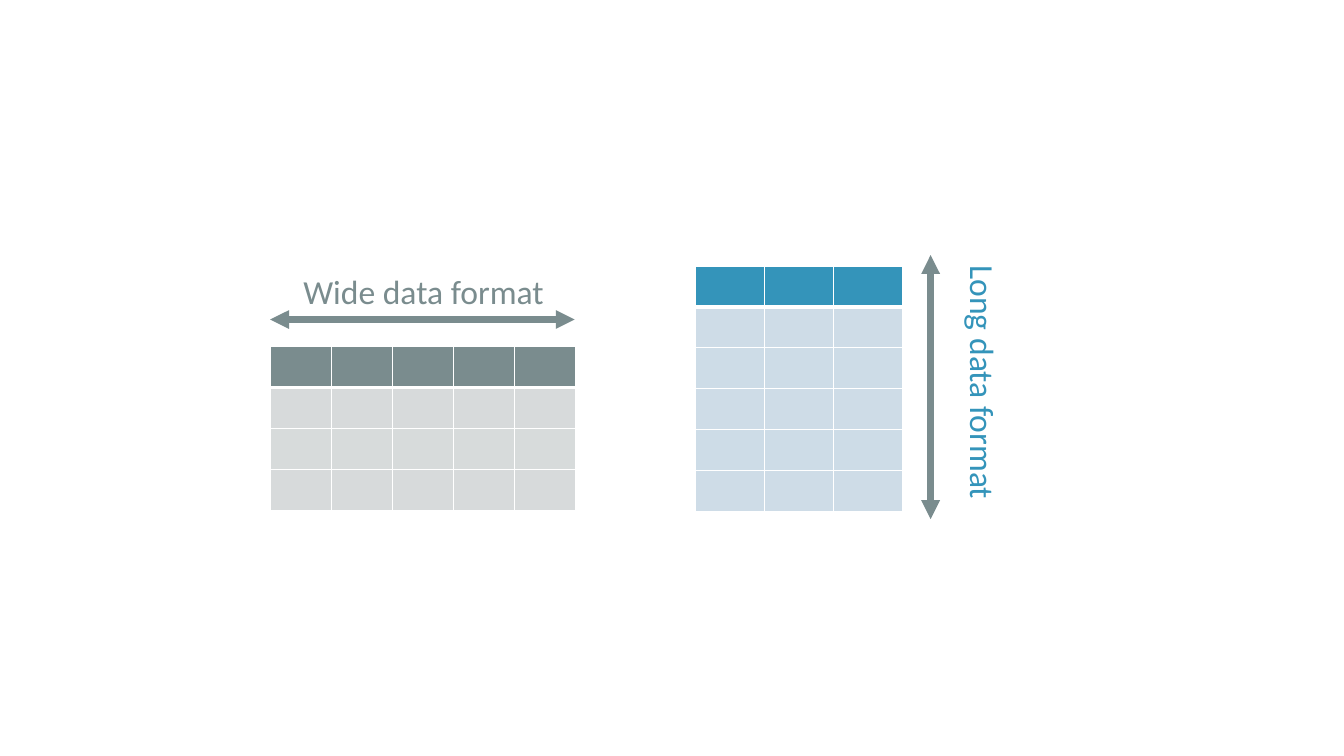
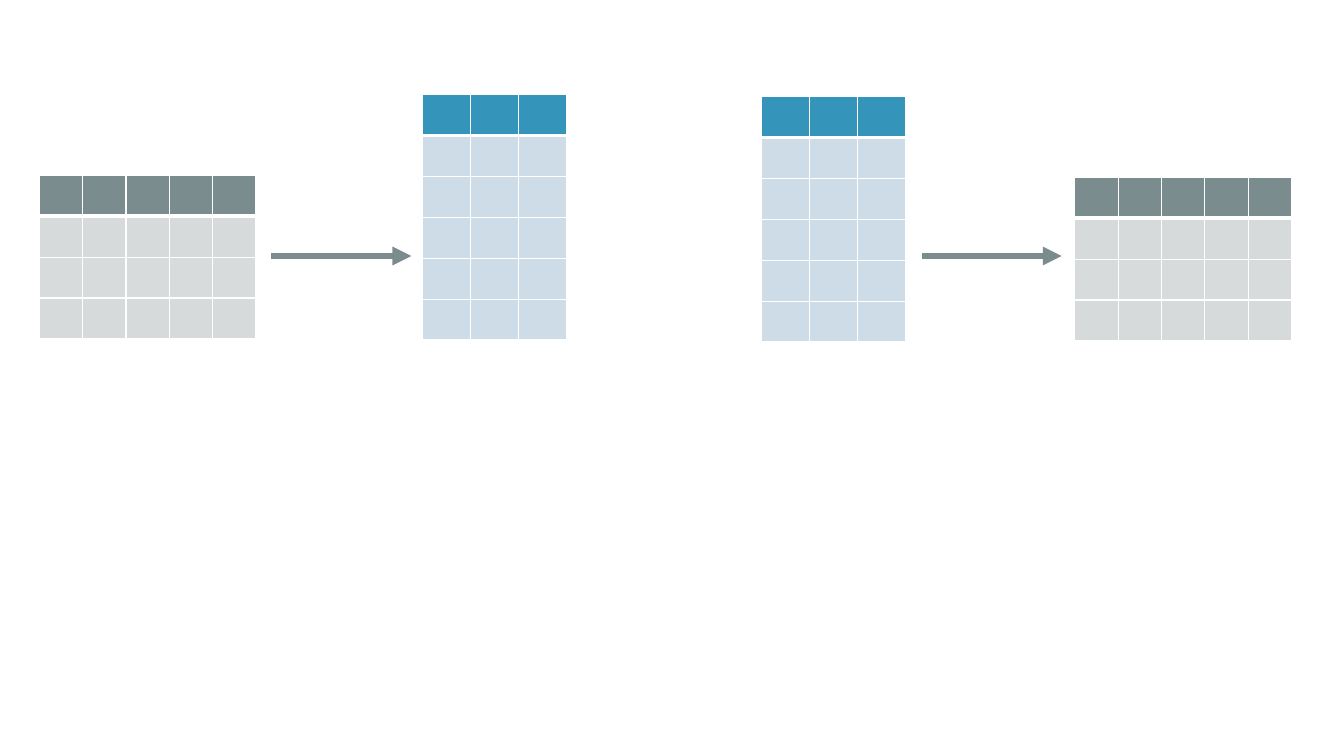
from dataclasses import dataclass

from lxml.etree import SubElement
from pptx import Presentation
from pptx.dml.color import RGBColor
from pptx.enum.shapes import MSO_CONNECTOR
from pptx.enum.text import MSO_AUTO_SIZE
from pptx.oxml.ns import qn
from pptx.util import Pt

PX = 9144  # EMU in one px, 100 px to the inch


@dataclass(frozen=True)
class Theme:
    gray: str = "7A8C8E"
    blue: str = "3494BA"
    white: str = "FFFFFF"
    gray_bands: tuple = ("D7DADB", "D7DBDB")
    blue_bands: tuple = ("CEDCE7", "CDDCE7")
    font: str = "Calibri"
    label: int = 24
    stroke: float = 4.5
    thin: int = 1
    thick: int = 3


THEME = Theme()
ROW = 40


def emu(*sizes):
    return [size * PX for size in sizes]


def rgb(code):
    return RGBColor.from_string(code)


# Tables
def edge(cell, side, width):
    line = SubElement(cell._tc.get_or_add_tcPr(), qn(f"a:ln{side}"), w=str(Pt(width)))
    fill = SubElement(line, qn("a:solidFill"))
    SubElement(fill, qn("a:srgbClr"), val=THEME.white)


def paint(cell, row, head, bands):
    thick_side = {0: "B", 1: "T"}.get(row)
    for side in "LRTB":
        edge(cell, side, THEME.thick if side == thick_side else THEME.thin)
    cell.fill.solid()
    cell.fill.fore_color.rgb = rgb(bands[(row - 1) % 2] if row else head)


def grid(slide, left, top, width, rows, cols, head, bands):
    frame = slide.shapes.add_table(rows, cols, *emu(left, top, width, rows * ROW))
    table = frame.table
    table.first_row = table.horz_banding = False
    for row in range(rows):
        for col in range(cols):
            paint(table.cell(row, col), row, head, bands)


def wide(slide, left, top, width):
    grid(slide, left, top, width, 4, 5, THEME.gray, THEME.gray_bands)


def long(slide, left, top, width):
    grid(slide, left, top, width, 6, 3, THEME.blue, THEME.blue_bands)


# Arrows and labels
def arrow(slide, x1, y1, x2, y2, both=False):
    link = slide.shapes.add_connector(MSO_CONNECTOR.STRAIGHT, *emu(x1, y1, x2, y2))
    link.line.color.rgb = rgb(THEME.gray)
    link.line.width = Pt(THEME.stroke)
    line = link.line._get_or_add_ln()
    for end in ("headEnd", "tailEnd") if both else ("tailEnd",):
        SubElement(line, qn(f"a:{end}"), type="triangle")
    SubElement(link._element.spPr, qn("a:effectLst"))


def label(slide, text, left, top, width, color, turn=0):
    box = slide.shapes.add_textbox(*emu(left, top, width, 50))
    box.rotation = turn
    frame = box.text_frame
    frame.word_wrap = True
    frame.auto_size = MSO_AUTO_SIZE.SHAPE_TO_FIT_TEXT
    run = frame.paragraphs[0].add_run()
    run.text = text
    run.font.name = THEME.font
    run.font.size = Pt(THEME.label)
    run.font.color.rgb = rgb(color)


# Slides
def formats(slide):
    wide(slide, 268, 344, 303)
    long(slide, 690, 264, 205)
    arrow(slide, 268, 317, 570, 317, both=True)
    arrow(slide, 923, 253, 923, 515, both=True)
    label(slide, "Wide data format", 291, 264, 271, THEME.gray)
    label(slide, "Long data format", 845, 359, 261, THEME.blue, turn=90)


def pivots(slide):
    # Wide to long
    wide(slide, 39, 174, 215)
    long(slide, 419, 94, 143)
    # Long to wide
    long(slide, 755, 96, 143)
    wide(slide, 1066, 176, 215)
    for left in (269, 914):
        arrow(slide, left, 254, left + 139, 254)


def main():
    deck = Presentation()
    deck.slide_width, deck.slide_height = emu(1333, 750)
    for build in (formats, pivots):
        build(deck.slides.add_slide(deck.slide_layouts[6]))
    deck.save("out.pptx")


if __name__ == "__main__":
    main()
